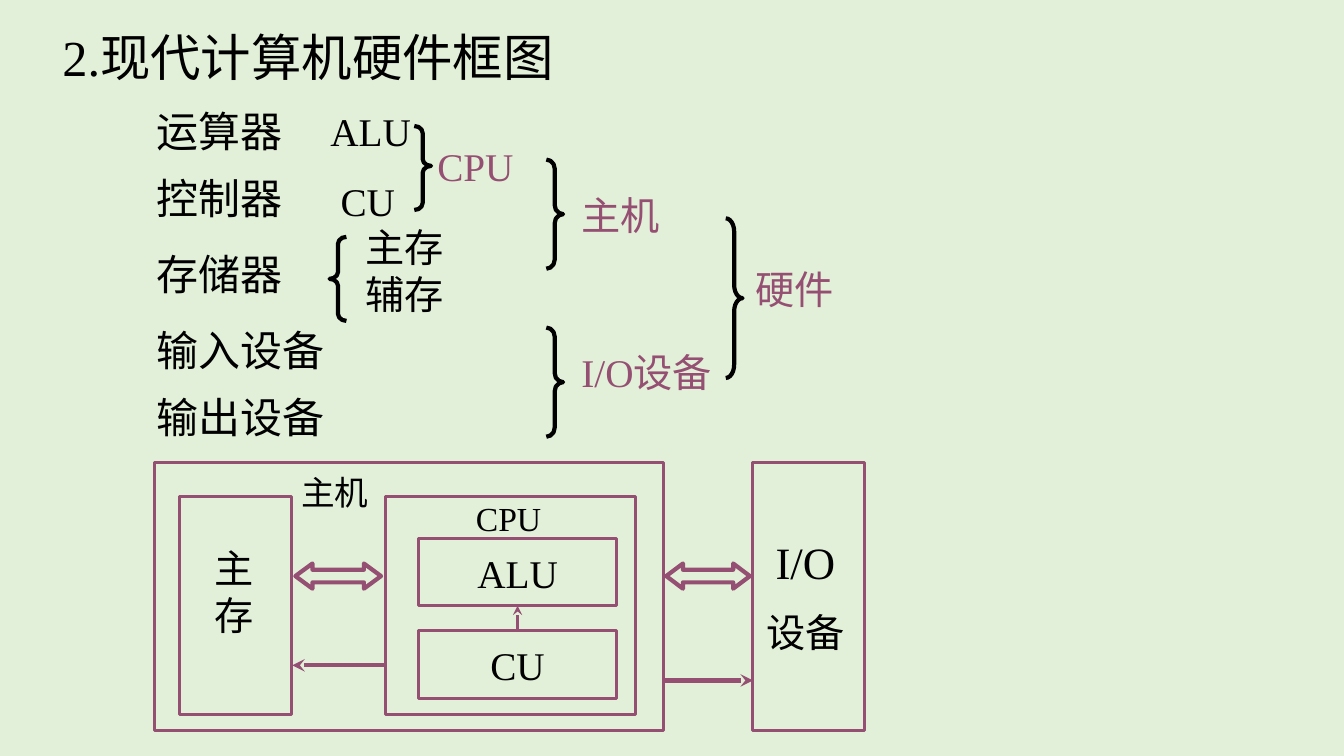
from dataclasses import dataclass

from lxml.etree import SubElement
from pptx import Presentation
from pptx.dml.color import RGBColor
from pptx.enum.shapes import MSO_CONNECTOR as Connector, MSO_SHAPE as Preset
from pptx.enum.text import MSO_ANCHOR as Anchor, MSO_AUTO_SIZE as AutoSize, PP_ALIGN as Align
from pptx.oxml.ns import qn
from pptx.util import Inches, Length, Pt

BACKGROUND = RGBColor(0xE2, 0xF0, 0xD9)
BLACK = RGBColor(0, 0, 0)
PURPLE = RGBColor(0x95, 0x4F, 0x72)
LATIN_FONT, CHINESE_FONT = "Times New Roman", "Noto Sans CJK SC"

# Grid of 160 columns and 90 rows
WIDTH, HEIGHT = Inches(13.333), Inches(7.5)
COLUMN, ROW = WIDTH / 160, HEIGHT / 90


@dataclass(frozen=True)
class Area:
    column: float
    row: float
    columns: float
    rows: float

    def lengths(self) -> list[Length]:
        return [Length(round(n * unit)) for n, unit in (
            (self.column, COLUMN), (self.row, ROW), (self.columns, COLUMN), (self.rows, ROW))]


@dataclass(frozen=True)
class Label:
    lines: tuple[str, ...]
    area: Area
    sizes: tuple[float, ...] = (28,)
    color: RGBColor = BLACK
    align: Align = Align.LEFT
    wrap: bool = False
    inset: bool = True
    gap: float = 0


@dataclass(frozen=True)
class Outline:
    preset: Preset
    area: Area
    color: RGBColor = PURPLE
    weight: float = 3
    adjustments: tuple[float, ...] = ()
    text: str = ""


@dataclass(frozen=True)
class Arrow:
    start: tuple[float, float]
    end: tuple[float, float]
    weight: float = 3


def brace(preset: Preset, column: float, row: float, rows: float, tip: float = 0.5) -> Outline:
    return Outline(preset, Area(column, row, 2, rows), BLACK, 3, (rows / 24, tip))


def box(column: float, row: float, columns: float, rows: float, text: str = "") -> Outline:
    return Outline(Preset.RECTANGLE, Area(column, row, columns, rows), PURPLE, 2.13, (), text)


def double_arrow(column: float, columns: float) -> Outline:
    return Outline(Preset.LEFT_RIGHT_ARROW, Area(column, 67.08, columns, 3),
                   adjustments=(0.5, columns / 15))


DEVICES = [Label((name,), Area(17.4, row, 30, 7.2), (30,), wrap=True) for name, row in (
    ("运算器", 12), ("控制器", 20), ("存储器", 29), ("输入设备", 38), ("输出设备", 46))]

LABELS = DEVICES + [
    Label(("2.现代计算机硬件框图",), Area(6.24, 2.52, 76.08, 8.4), (36,), wrap=True),
    Label(("ALU",), Area(38.16, 12.24, 12.24, 6.84)),
    Label(("CU",), Area(39.36, 20.52, 9.12, 6.84)),
    Label(("主存", "辅存"), Area(42.36, 26.04, 11.76, 13.56)),
    Label(("CPU",), Area(50.88, 16.32, 12, 6.84), color=PURPLE),
    Label(("主机",), Area(68.04, 22.2, 11.76, 6.84), color=PURPLE),
    Label(("I/O设备",), Area(68.04, 40.92, 23.16, 6.84), color=PURPLE, wrap=True),
    Label(("硬件",), Area(88.8, 30.96, 11.76, 6.84), color=PURPLE),
    # Names inside the block diagram
    Label(("主机",), Area(35.88, 56.16, 8.04, 4.8), (24,), inset=False),
    Label(("CPU",), Area(56.4, 59.28, 8.28, 4.8), (24,), align=Align.CENTER,
          wrap=True, inset=False),
    Label(("主", "存"), Area(24.36, 64.2, 7.08, 13.56), align=Align.CENTER),
    Label(("I/O", "设备"), Area(89.4, 63.12, 12.96, 16.08), (32, 28), align=Align.CENTER,
          wrap=True, gap=14),
]

OUTLINES = [
    brace(Preset.LEFT_BRACE, 39.24, 28.2, 10),
    brace(Preset.RIGHT_BRACE, 49.32, 15, 10, 0.475),
    brace(Preset.RIGHT_BRACE, 65.04, 19, 13),
    brace(Preset.RIGHT_BRACE, 65.04, 39, 13),
    brace(Preset.RIGHT_BRACE, 86.4, 26, 19),
    # Host, I/O devices, main memory, CPU
    box(18.36, 55.08, 60.6, 31.92),
    box(89.64, 55.08, 13.32, 31.92),
    box(21.36, 59.16, 13.32, 25.92),
    box(45.84, 59.16, 29.88, 25.92),
    double_arrow(35.16, 10.2),
    double_arrow(79.32, 9.96),
]
ALU_BOX = box(49.8, 64.08, 23.64, 8.04, "ALU")
CU_BOX = box(49.8, 75.12, 23.64, 8.04, "CU")

ARROWS = [Arrow((45.72, 79.2), (34.8, 79.2)), Arrow((78.96, 81), (89.64, 81))]
CONTROL_ARROW = Arrow((61.62, 75.12), (61.62, 72.12), 2.25)


def apply_format(target, values: dict) -> None:
    for name, value in values.items():
        setattr(target, name, value)


def write_line(paragraph, text: str, size: float, color: RGBColor, align: Align) -> None:
    paragraph.alignment = align
    run = paragraph.add_run()
    run.text = text
    apply_format(run.font, {"size": Pt(size), "name": LATIN_FONT})
    run.font.color.rgb = color
    SubElement(run.font._element, qn("a:ea"), typeface=CHINESE_FONT)


def draw_label(slide, label: Label) -> None:
    frame = slide.shapes.add_textbox(*label.area.lengths()).text_frame
    values = {"word_wrap": label.wrap, "auto_size": AutoSize.SHAPE_TO_FIT_TEXT}
    if not label.inset:
        values |= {f"margin_{side}": 0 for side in ("left", "top", "right", "bottom")}
    apply_format(frame, values)
    for index, text in enumerate(label.lines):
        paragraph = frame.add_paragraph() if index else frame.paragraphs[0]
        if index and label.gap:
            paragraph.space_before = Pt(label.gap)
        write_line(paragraph, text, label.sizes[index % len(label.sizes)],
                   label.color, label.align)


def draw_outline(slide, outline: Outline):
    shape = slide.shapes.add_shape(outline.preset, *outline.area.lengths())
    shape.shadow.inherit = False
    shape.fill.background()
    shape.line.color.rgb = outline.color
    shape.line.width = Pt(outline.weight)
    for index, value in enumerate(outline.adjustments):
        shape.adjustments[index] = value
    if outline.text:
        apply_format(shape.text_frame, {
            "vertical_anchor": Anchor.MIDDLE, "margin_top": Inches(0.06),
            "margin_bottom": Inches(0.05), "word_wrap": True})
        write_line(shape.text_frame.paragraphs[0], outline.text, 28, BLACK, Align.CENTER)
    return shape


def draw_arrow(slide, arrow: Arrow):
    ends = [round(n * unit) for point in (arrow.start, arrow.end)
            for n, unit in zip(point, (COLUMN, ROW))]
    connector = slide.shapes.add_connector(Connector.STRAIGHT, *ends)
    connector.line.color.rgb = PURPLE
    connector.line.width = Pt(arrow.weight)
    SubElement(connector.line._get_or_add_ln(), qn("a:tailEnd"), type="stealth")
    SubElement(connector._element.spPr, qn("a:effectLst"))
    return connector


def main() -> None:
    presentation = Presentation()
    apply_format(presentation, {"slide_width": WIDTH, "slide_height": HEIGHT})
    slide = presentation.slides.add_slide(presentation.slide_layouts[6])
    slide.background.fill.solid()
    slide.background.fill.fore_color.rgb = BACKGROUND

    # Braces, boxes and data arrows
    for outline in OUTLINES:
        draw_outline(slide, outline)
    for arrow in ARROWS:
        draw_arrow(slide, arrow)

    # Control unit drives the ALU
    alu, control_unit = draw_outline(slide, ALU_BOX), draw_outline(slide, CU_BOX)
    connector = draw_arrow(slide, CONTROL_ARROW)
    connector.begin_connect(control_unit, 0)
    connector.end_connect(alu, 2)

    for label in LABELS:
        draw_label(slide, label)
    presentation.save("out.pptx")


if __name__ == "__main__":
    main()
